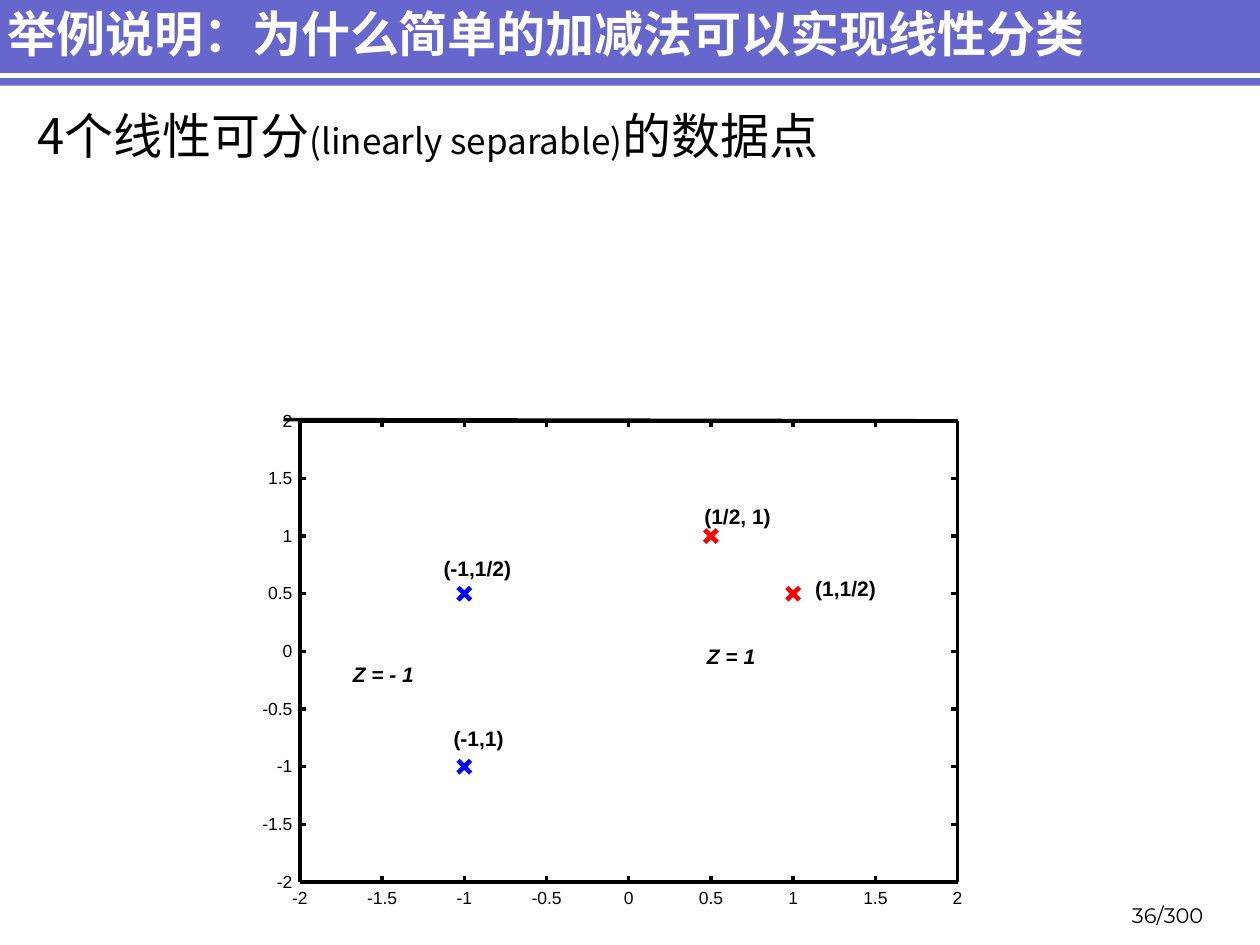
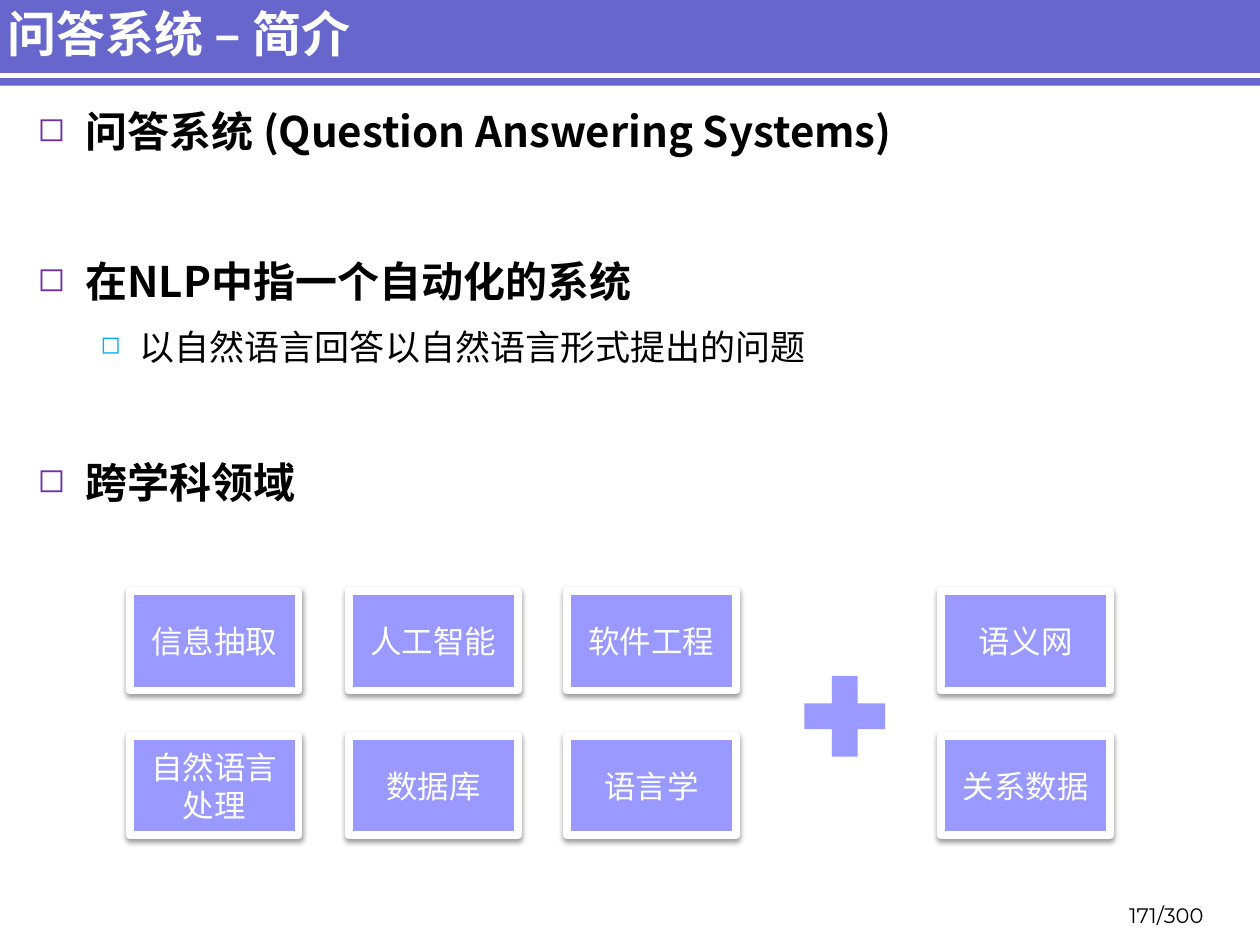
"""Build two lecture slides: a separable point plot and a question answering intro."""
import pptx
import pptx.dml.color
import pptx.enum.shapes
import pptx.enum.text
import pptx.oxml
import pptx.oxml.ns
import pptx.util
from lxml import etree

Inches = pptx.util.Inches
Pt = pptx.util.Pt
RGBColor = pptx.dml.color.RGBColor
qn = pptx.oxml.ns.qn
SHAPE = pptx.enum.shapes.MSO_SHAPE
ALIGN = pptx.enum.text.PP_ALIGN
ANCHOR = pptx.enum.text.MSO_ANCHOR

BAND = RGBColor(0x66, 0x66, 0xCC)
TILE = RGBColor(0x99, 0x99, 0xFF)
WHITE = RGBColor(0xFF, 0xFF, 0xFF)
BLACK = RGBColor(0, 0, 0)
BLUE = RGBColor(0, 0, 0xFF)
RED = RGBColor(0xFF, 0, 0)
PURPLE = RGBColor(0x70, 0x30, 0xA0)
SKY = RGBColor(0x00, 0xB0, 0xF0)
CJK = "Noto Sans CJK SC"
LATIN = "Arial"

PLOT_LEFT, PLOT_TOP, PLOT_RIGHT, PLOT_BOTTOM = 2.38, 3.34, 7.6, 7.0
TICK = 0.05
TICK_VALUES = [-2 + step * 0.5 for step in range(9)]
POINTS = [(-1, -1, BLUE), (-1, 0.5, BLUE), (0.5, 1, RED), (1, 0.5, RED)]
POINT_LABELS = [
    ("(1/2, 1)", 5.59, 4.0, 0.71),
    ("(1,1/2)", 6.47, 4.57, 0.6),
    ("(-1,1/2)", 3.52, 4.41, 0.72),
    ("(-1,1)", 3.6, 5.76, 0.57),
]
CLASS_LABELS = [("Z = 1", 5.61, 5.11, 0.41), ("Z = - 1", 2.8, 5.25, 0.5)]
FIELD_COLUMNS = [
    (1.03, ("信息抽取", "自然语言处理")),
    (2.77, ("人工智能", "数据库")),
    (4.5, ("软件工程", "语言学")),
    (7.47, ("语义网", "关系数据")),
]
FIELD_ROWS = (4.69, 5.84)
OUTLINE = [
    ("问答系统 (Question Answering Systems)", 0, 57),
    ("在NLP中指一个自动化的系统", 0, 11),
    ("以自然语言回答以自然语言形式提出的问题", 1, 51),
    ("跨学科领域", 0, 0),
]
LEVELS = [
    dict(left=0.38, hang=0.38, size=24, bold=True, color=PURPLE, scale=80),
    dict(left=0.81, hang=0.31, size=20, bold=False, color=SKY, scale=70),
]


def add_span(para, text, size, color=BLACK, font=CJK, bold=False, italic=False):
    """Add one formatted run with matching Latin and East Asian fonts."""
    span = para.add_run()
    span.text = text
    span.font.size = Pt(size)
    span.font.name = font
    span.font.bold = bold
    span.font.italic = italic
    span.font.color.rgb = color
    east = etree.SubElement(span._r.get_or_add_rPr(), qn("a:ea"))
    east.set("typeface", CJK if font == LATIN else font)


def add_box(slide, left, top, width, height):
    """Add a wrapping text box and return its text frame."""
    box = slide.shapes.add_textbox(
        Inches(left), Inches(top), Inches(width), Inches(height))
    box.text_frame.word_wrap = True
    return box.text_frame


def add_label(slide, text, left, top, width, height=0.18, align=ALIGN.LEFT, **style):
    """Add a one-line plot label without insets."""
    frame = add_box(slide, left, top, width, height)
    frame.word_wrap = False
    frame.margin_left = frame.margin_right = 0
    frame.margin_top = frame.margin_bottom = 0
    para = frame.paragraphs[0]
    para.alignment = align
    add_span(para, text, font=LATIN, **style)


def add_line(slide, start, end, color=BLACK, width=0):
    """Draw a straight line without a shadow."""
    line = slide.shapes.add_connector(
        pptx.enum.shapes.MSO_CONNECTOR.STRAIGHT,
        Inches(start[0]), Inches(start[1]), Inches(end[0]), Inches(end[1]))
    line.line.color.rgb = color
    line.line.width = Pt(width)
    etree.SubElement(line.element.spPr, qn("a:effectLst"))


def add_block(slide, preset, left, top, width, height, color):
    """Add a filled preset shape with no outline or shadow."""
    block = slide.shapes.add_shape(
        preset, Inches(left), Inches(top), Inches(width), Inches(height))
    block.shadow.inherit = False
    block.fill.solid()
    block.fill.fore_color.rgb = color
    block.line.fill.background()
    return block


def add_slide(deck, heading, number):
    """Add a slide with the shared band, title and page number."""
    slide = deck.slides.add_slide(deck.slide_layouts[5])
    add_block(slide, SHAPE.RECTANGLE, -0.04, -0.03, 10.04, 0.71, BAND)
    add_line(slide, (-0.04, 0.6), (10, 0.6), WHITE, 3)
    title = slide.shapes.title
    title.element.getparent().append(title.element)
    title.left, title.top = Inches(-0.04), Inches(0.05)
    title.width, title.height = Inches(8.77), Inches(0.43)
    frame = title.text_frame
    frame.auto_size = pptx.enum.text.MSO_AUTO_SIZE.NONE
    frame.word_wrap = True
    frame.margin_right = 0
    frame.vertical_anchor = ANCHOR.MIDDLE
    para = frame.paragraphs[0]
    para.alignment = ALIGN.LEFT
    add_span(para, heading, 28, WHITE, bold=True)
    footer = add_box(slide, 8.61, 7.06, 1.04, 0.35)
    footer.vertical_anchor = ANCHOR.BOTTOM
    para = footer.paragraphs[0]
    para.alignment = ALIGN.RIGHT
    add_span(para, f"{number}/300", 12, font="Montserrat")
    return slide


def add_body(slide):
    """Add the main text area and return its text frame."""
    frame = add_box(slide, 0.2, 0.84, 9.45, 6.14)
    frame.margin_top = 0
    return frame


def set_bullet(para, left, hang, color, scale):
    """Give a paragraph a hanging square bullet."""
    props = para._p.get_or_add_pPr()
    props.set("marL", str(Inches(left)))
    props.set("indent", str(-Inches(hang)))
    tint = etree.SubElement(props, qn("a:buClr"))
    etree.SubElement(tint, qn("a:srgbClr")).set("val", str(color))
    etree.SubElement(props, qn("a:buSzPct")).set("val", str(scale * 1000))
    etree.SubElement(props, qn("a:buChar")).set("char", "◻")


def plot_x(value):
    """Return the slide position of a horizontal plot value."""
    return PLOT_LEFT + (value + 2) * (PLOT_RIGHT - PLOT_LEFT) / 4


def plot_y(value):
    """Return the slide position of a vertical plot value."""
    return PLOT_BOTTOM - (value + 2) * (PLOT_BOTTOM - PLOT_TOP) / 4


def add_axes(slide):
    """Draw the plot frame, the ticks on four sides and the tick labels."""
    corners = [(PLOT_LEFT, PLOT_TOP), (PLOT_RIGHT, PLOT_TOP),
               (PLOT_RIGHT, PLOT_BOTTOM), (PLOT_LEFT, PLOT_BOTTOM)]
    for start, end in zip(corners, corners[1:] + corners[:1]):
        add_line(slide, start, end)
    add_line(slide, (2.25, 3.33), (7.47, 3.34))
    for value in TICK_VALUES:
        x, y = plot_x(value), plot_y(value)
        add_line(slide, (x, PLOT_BOTTOM), (x, PLOT_BOTTOM - TICK))
        add_line(slide, (x, PLOT_TOP), (x, PLOT_TOP + TICK))
        add_line(slide, (PLOT_LEFT, y), (PLOT_LEFT + TICK, y))
        add_line(slide, (PLOT_RIGHT, y), (PLOT_RIGHT - TICK, y))
        text = f"{value:g}"
        width = 0.07 * len(text) + 0.04
        add_label(slide, text, x - width / 2, 7.04, width, align=ALIGN.CENTER, size=10)
        add_label(slide, text, 2.32 - width, y - 0.09, width, align=ALIGN.RIGHT, size=10)


def add_cross(slide, x, y, color):
    """Mark a data point with two crossing strokes."""
    for rise in (TICK, -TICK):
        add_line(slide, (x - TICK, y - rise), (x + TICK, y + rise), color, 2.63)


def add_field(slide, text, left, top):
    """Add a white-framed tile with a soft shadow."""
    tile = add_block(slide, SHAPE.RECTANGLE, left, top, 1.34, 0.79, TILE)
    tile.line.color.rgb = WHITE
    tile.line.width = Pt(4.5)
    effects = tile.element.spPr.find(qn("a:effectLst"))
    shadow = etree.SubElement(effects, qn("a:outerShdw"), blurRad="40000",
                              dist="20000", dir="5400000", rotWithShape="0")
    tint = etree.SubElement(shadow, qn("a:srgbClr"), val="000000")
    etree.SubElement(tint, qn("a:alpha"), val="38000")
    frame = tile.text_frame
    frame.word_wrap = True
    frame.vertical_anchor = ANCHOR.MIDDLE
    para = frame.paragraphs[0]
    para.alignment = ALIGN.CENTER
    add_span(para, text, 18, WHITE, LATIN)


def build_points_slide(deck):
    """Build the slide that plots four separable points."""
    slide = add_slide(deck, "举例说明：为什么简单的加减法可以实现线性分类", 36)
    para = add_body(slide).paragraphs[0]
    for text, size in (("4个线性可分", 28), ("(linearly separable)", 20), ("的数据点", 28)):
        add_span(para, text, size)
    add_axes(slide)
    for x, y, color in POINTS:
        add_cross(slide, plot_x(x), plot_y(y), color)
    for text, left, top, width in CLASS_LABELS:
        add_label(slide, text, left, top, width, 0.2, size=12, bold=True, italic=True)
    for text, left, top, width in POINT_LABELS:
        add_label(slide, text, left, top, width, 0.25, size=12, bold=True)


def build_answering_slide(deck):
    """Build the slide that introduces question answering systems."""
    slide = add_slide(deck, "问答系统 – 简介", 171)
    frame = add_body(slide)
    for index, (text, depth, gap) in enumerate(OUTLINE):
        para = frame.add_paragraph() if index else frame.paragraphs[0]
        level = LEVELS[depth]
        para.level = depth
        set_bullet(para, level["left"], level["hang"], level["color"], level["scale"])
        para.space_after = Pt(gap)
        add_span(para, text, level["size"], bold=level["bold"])
    for left, fields in FIELD_COLUMNS:
        for top, text in zip(FIELD_ROWS, fields):
            add_field(slide, text, left, top)
    add_block(slide, SHAPE.MATH_PLUS, 6.27, 5.25, 0.87, 0.87, TILE)


def main():
    """Build and save the deck."""
    deck = pptx.Presentation()
    deck.slide_width, deck.slide_height = Inches(10), Inches(7.5)
    build_points_slide(deck)
    build_answering_slide(deck)
    deck.save("out.pptx")


if __name__ == "__main__":
    main()
